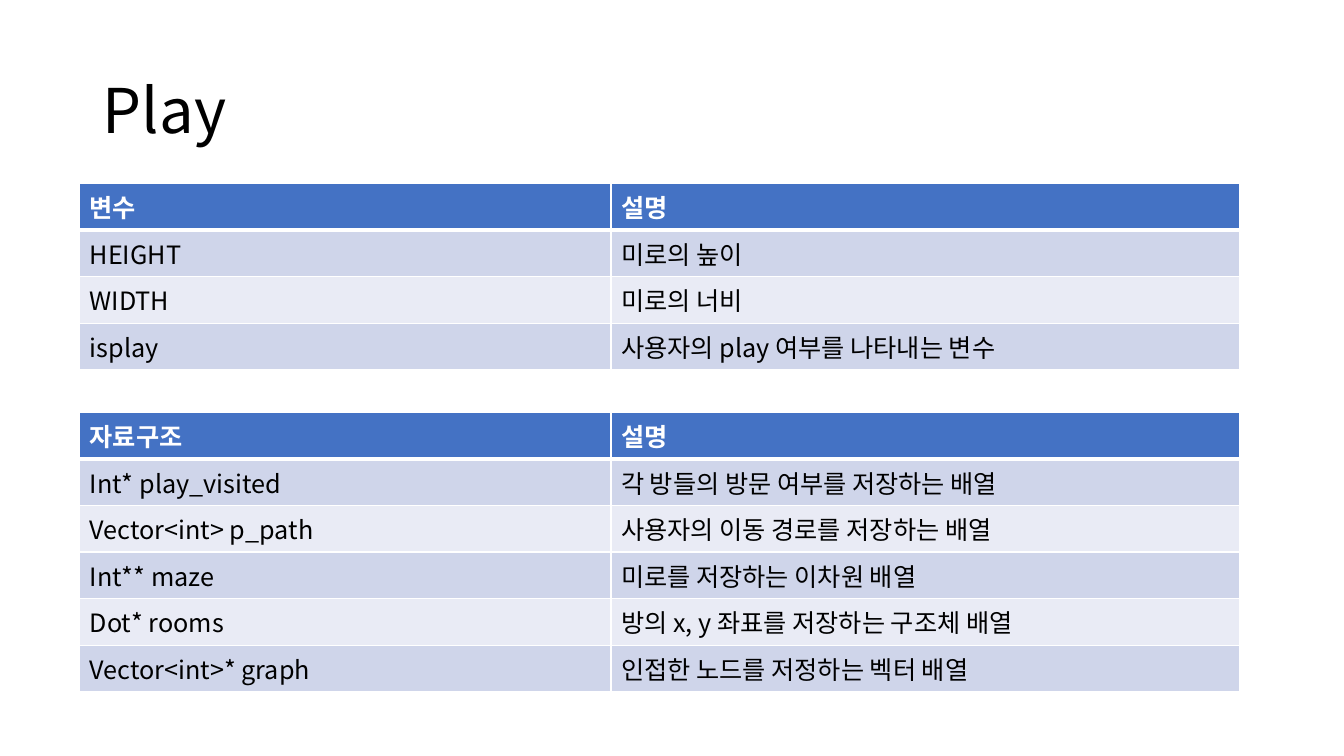
from lxml import etree
from pptx import Presentation
from pptx.dml.color import RGBColor
from pptx.enum.text import MSO_ANCHOR, PP_ALIGN
from pptx.oxml.ns import qn
from pptx.util import Inches, Pt

LEFT = PP_ALIGN.LEFT
MIDDLE = MSO_ANCHOR.MIDDLE
FONT = "Noto Sans CJK KR"
COLORS = {
    "text": "000000",
    "header": "4472C4",
    "header_text": "FFFFFF",
    "odd_row": "CFD5EA",
    "even_row": "E9EBF5",
    "border": "FFFFFF",
}
COLUMN_WIDTHS = (5.27, 6.23)
ROW_HEIGHT = 0.41

VARIABLES = [
    ("변수", "설명"),
    ("HEIGHT", "미로의 높이"),
    ("WIDTH", "미로의 너비"),
    ("isplay", "사용자의 play 여부를 나타내는 변수"),
]
DATA_STRUCTURES = [
    ("자료구조", "설명"),
    ("Int* play_visited", "각 방들의 방문 여부를 저장하는 배열"),
    ("Vector<int> p_path", "사용자의 이동 경로를 저장하는 배열"),
    ("Int** maze", "미로를 저장하는 이차원 배열"),
    ("Dot* rooms", "방의 x, y 좌표를 저장하는 구조체 배열"),
    ("Vector<int>* graph", "인접한 노드를 저정하는 벡터 배열"),
]


def style_paragraph(paragraph, size, color, bold=False):
    paragraph.alignment = LEFT
    font = paragraph.font
    font.name = FONT
    font.size = Pt(size)
    font.bold = bold
    font.color.rgb = RGBColor.from_string(COLORS[color])
    properties = paragraph._p.pPr.find(qn("a:defRPr"))
    latin = properties.find(qn("a:latin"))
    east_asian = etree.Element(qn("a:ea"), typeface=FONT)
    latin.addnext(east_asian)


def add_borders(cell, top, bottom):
    properties = cell._tc.get_or_add_tcPr()
    for side, width in (("L", 1), ("R", 1), ("T", top), ("B", bottom)):
        line = etree.SubElement(properties, qn(f"a:ln{side}"), w=str(Pt(width)))
        fill = etree.SubElement(line, qn("a:solidFill"))
        etree.SubElement(fill, qn("a:srgbClr"), val=COLORS["border"])


def add_title(slide, text, left, top, width, height):
    title = slide.shapes.title
    title.left, title.top = Inches(left), Inches(top)
    title.width, title.height = Inches(width), Inches(height)
    frame = title.text_frame
    frame.text = text
    frame.vertical_anchor = MIDDLE
    frame.paragraphs[0].line_spacing = 0.9
    style_paragraph(frame.paragraphs[0], 44, "text")


def add_description_table(slide, rows, left, top):
    table = slide.shapes.add_table(
        len(rows), len(COLUMN_WIDTHS), Inches(left), Inches(top),
        Inches(sum(COLUMN_WIDTHS)), Inches(ROW_HEIGHT * len(rows)),
    ).table
    for column, width in zip(table.columns, COLUMN_WIDTHS):
        column.width = Inches(width)
    for r, texts in enumerate(rows):
        header = r == 0
        band = "header" if header else "odd_row" if r % 2 else "even_row"
        for c, text in enumerate(texts):
            cell = table.cell(r, c)
            cell.text = text
            add_borders(cell, top=3 if r == 1 else 1, bottom=3 if header else 1)
            cell.fill.solid()
            cell.fill.fore_color.rgb = RGBColor.from_string(COLORS[band])
            style_paragraph(cell.text_frame.paragraphs[0], 18,
                            "header_text" if header else "text", header)


def main():
    presentation = Presentation()
    presentation.slide_width = Inches(13.33)
    presentation.slide_height = Inches(7.5)
    slide = presentation.slides.add_slide(presentation.slide_layouts[5])
    add_title(slide, "Play", 0.92, 0.4, 11.5, 1.45)
    add_description_table(slide, VARIABLES, 0.79, 1.82)
    add_description_table(slide, DATA_STRUCTURES, 0.79, 4.09)
    presentation.save("out.pptx")


if __name__ == "__main__":
    main()
